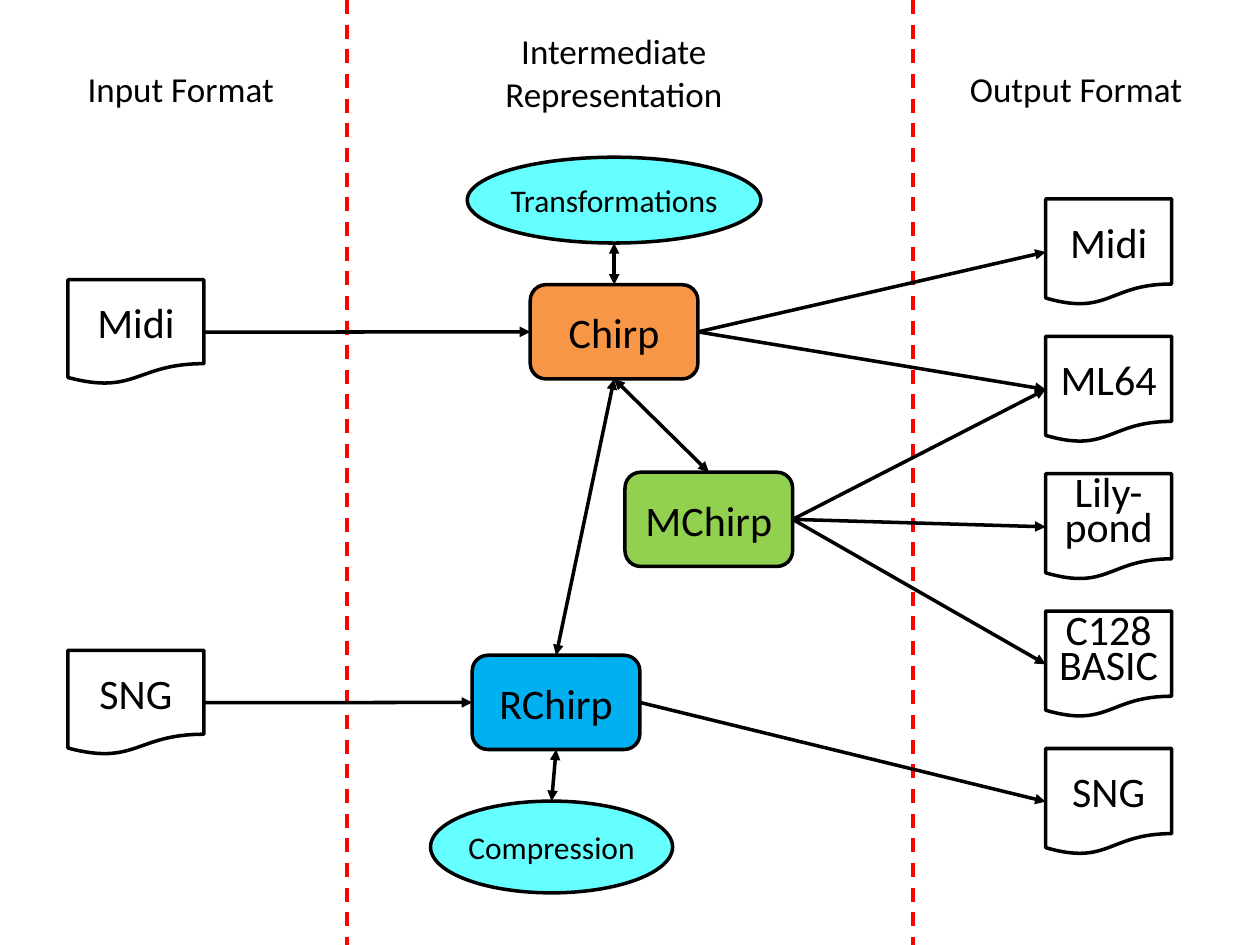
from lxml import etree
from pptx import Presentation
from pptx.dml.color import RGBColor
from pptx.enum.dml import MSO_LINE
from pptx.enum.shapes import MSO_CONNECTOR, MSO_SHAPE
from pptx.enum.text import MSO_ANCHOR, MSO_AUTO_SIZE, PP_ALIGN
from pptx.oxml.ns import qn
from pptx.util import Cm, Pt

STRAIGHT = MSO_CONNECTOR.STRAIGHT
DOCUMENT = MSO_SHAPE.FLOWCHART_DOCUMENT
ROUNDED = MSO_SHAPE.ROUNDED_RECTANGLE
ELLIPSE = MSO_SHAPE.OVAL
DASH = MSO_LINE.DASH
CENTER = PP_ALIGN.CENTER
MIDDLE = MSO_ANCHOR.MIDDLE
FIT_SHAPE = MSO_AUTO_SIZE.SHAPE_TO_FIT_TEXT
TOP, LEFT, BOTTOM, RIGHT = range(4)
WIDTH, HEIGHT = 25.4, 19.05


def color(value):
    """Turn a hex string into a colour."""
    return RGBColor.from_string(value)


def apply(target, values):
    """Set each attribute named in a dict of format values."""
    for name, value in values.items():
        setattr(target, name, value)


def site(shape, side):
    """Return the middle point of one side of a shape."""
    across, down = {TOP: (1, 0), LEFT: (0, 1), BOTTOM: (1, 2), RIGHT: (2, 1)}[side]
    return (shape.left + shape.width * across // 2,
            shape.top + shape.height * down // 2)


class Diagram:
    """Holds the style and the current slide of a flow diagram."""

    font = "Calibri"
    ink = "000000"
    line_width = Pt(2)

    def __init__(self, slide):
        """Keep the slide to draw on."""
        self.slide = slide

    def label(self, frame, text, size, spacing=None):
        """Fill a text frame with centred text."""
        frame.text = text
        for para in frame.paragraphs:
            apply(para, {"alignment": CENTER, "line_spacing": spacing})
            for span in para.runs:
                apply(span.font, {"name": self.font, "size": Pt(size)})
                span.font.color.rgb = color(self.ink)

    def heading(self, text, left, top, width, height):
        """Add a column heading."""
        box = self.slide.shapes.add_textbox(Cm(left), Cm(top), Cm(width), Cm(height))
        apply(box.text_frame, {"word_wrap": False, "auto_size": FIT_SHAPE})
        self.label(box.text_frame, text, 20)

    def node(self, kind, text, place, fill="FFFFFF", size=24, spacing=None, margins=None):
        """Add a filled, outlined shape with its label."""
        shape = self.slide.shapes.add_shape(kind, *map(Cm, place))
        shape.shadow.inherit = False
        shape.fill.solid()
        shape.fill.fore_color.rgb = color(fill)
        shape.line.color.rgb = color(self.ink)
        shape.line.width = self.line_width
        apply(shape.text_frame, {"word_wrap": True, "vertical_anchor": MIDDLE})
        apply(shape.text_frame, margins or {})
        self.label(shape.text_frame, text, size, spacing)
        return shape

    def line(self, start, end, ink):
        """Add a plain straight line between two points."""
        line = self.slide.shapes.add_connector(STRAIGHT, *start, *end)
        line.line.color.rgb = color(ink)
        line.line.width = self.line_width
        etree.SubElement(line._element.spPr, qn("a:effectLst"))
        return line

    def divider(self, left):
        """Add a dashed line down the whole slide."""
        line = self.line((Cm(left), 0), (Cm(left), Cm(HEIGHT)), "FF0000")
        line.line.dash_style = DASH

    def arrow(self, source, source_side, target, target_side, both=False):
        """Join two shapes with an arrow at the end, or at both ends."""
        line = self.line(site(source, source_side), site(target, target_side), self.ink)
        # An ellipse numbers its sites differently, so its bottom end stays loose.
        if (source.auto_shape_type, source_side) != (ELLIPSE, BOTTOM):
            line.begin_connect(source, source_side)
        line.end_connect(target, target_side)
        outline = line._element.spPr.find(qn("a:ln"))
        for end in ("headEnd", "tailEnd") if both else ("tailEnd",):
            etree.SubElement(outline, qn("a:" + end), type="triangle")


deck = Presentation()
apply(deck, {"slide_width": Cm(WIDTH), "slide_height": Cm(HEIGHT)})
diagram = Diagram(deck.slides.add_slide(deck.slide_layouts[6]))

for left in (6.99, 18.41):
    diagram.divider(left)

for heading in (("Input Format", 1.5, 1.24, 4.29, 1.11),
                ("Intermediate\nRepresentation", 9.91, 0.48, 4.93, 1.96),
                ("Output Format", 19.28, 1.24, 4.83, 1.11)):
    diagram.heading(*heading)

chirp, mchirp, rchirp = (
    diagram.node(ROUNDED, text, (left, top, 3.38, 1.9), fill)
    for text, left, top, fill in (("Chirp", 10.69, 5.74, "F79646"),
                                  ("MChirp", 12.6, 9.52, "92D050"),
                                  ("RChirp", 9.52, 13.21, "00B0F0")))

transformations, compression = (
    diagram.node(ELLIPSE, text, place, "66FFFF", 18,
                 margins={"margin_left": 0, "margin_right": 0})
    for text, place in (("Transformations", (9.42, 3.17, 5.92, 1.73)),
                        ("Compression", (8.68, 16.15, 4.88, 1.85))))

midi_in, sng_in = (
    diagram.node(DOCUMENT, text, (1.37, top, 2.74, 2.11))
    for text, top in (("Midi", 5.64), ("SNG", 13.11)))

OUTPUT_TOP, OUTPUT_PITCH = 4.01, 2.77
outputs = (("Midi", None), ("ML64", None), ("Lily-pond", Pt(20)),
           ("C128\vBASIC", Pt(20)), ("SNG", None))
midi_out, ml64, lilypond, basic, sng_out = (
    diagram.node(DOCUMENT, text, (21.08, OUTPUT_TOP + row * OUTPUT_PITCH, 2.54, 2.14),
                 spacing=spacing)
    for row, (text, spacing) in enumerate(outputs))

for source, target in ((midi_in, chirp), (sng_in, rchirp),
                       (chirp, midi_out), (chirp, ml64),
                       (mchirp, ml64), (mchirp, lilypond), (mchirp, basic),
                       (rchirp, sng_out)):
    diagram.arrow(source, RIGHT, target, LEFT)

for source, target in ((transformations, chirp), (chirp, mchirp),
                       (chirp, rchirp), (rchirp, compression)):
    diagram.arrow(source, BOTTOM, target, TOP, both=True)

deck.save("out.pptx")
